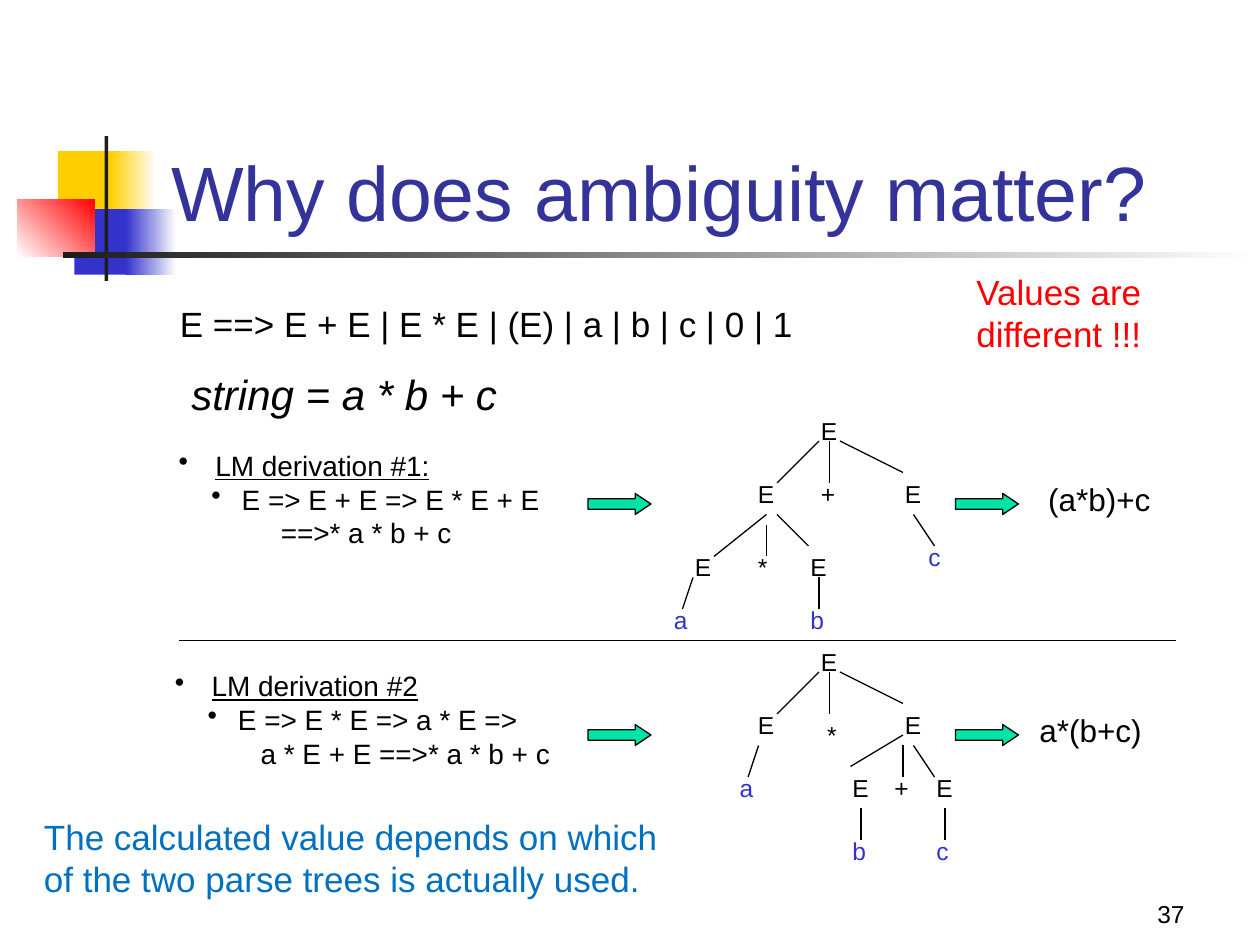
from pptx import Presentation
from pptx.util import Inches, Pt
from pptx.dml.color import RGBColor
from pptx.enum.shapes import MSO_CONNECTOR, MSO_SHAPE
from pptx.enum.text import MSO_ANCHOR, PP_ALIGN
from pptx.oxml.ns import qn
from lxml.etree import SubElement

BLACK = RGBColor(0, 0, 0)
WHITE = RGBColor(255, 255, 255)
DARK = RGBColor(0x1C, 0x1C, 0x1C)
YELLOW = RGBColor(0xFF, 0xCF, 0x01)
BLUE = RGBColor(0x33, 0x33, 0xCC)
TITLE = RGBColor(0x33, 0x33, 0x99)
RED = RGBColor(0xFF, 0, 0)
SKY = RGBColor(0, 0x70, 0xC0)
GREEN = RGBColor(0, 0xE4, 0xA8)
UNIT = 1 / 12  # the trees sit on a grid of twelfths of an inch

# Decoration: left, top, width, height, colours (two make a gradient), angle
DECOR = [
    (0.46, 1.2, 0.48, 0.52, [YELLOW], 0),
    (0.88, 1.2, 0.36, 0.52, [YELLOW, WHITE], 0),
    (0.59, 1.66, 0.46, 0.52, [BLUE], 0),
    (1, 1.66, 0.4, 0.52, [BLUE, WHITE], 0),
    (0.14, 1.58, 0.61, 0.46, [WHITE, RED], 45),
    (0.83, 1.08, 0.03, 1.15, [DARK], 0),
    (0.5, 2, 9.5, 0.05, [DARK, WHITE], 0),
]

# Single-style texts: left, top, width, height, size, colour, lines
TEXTS = [
    (1.33, 2.35, 5.17, 0.44, 20, BLACK, "E ==> E + E | E * E | (E) | a | b | c | 0 | 1"),
    (7.65, 2.1, 1.61, 0.77, 20, RED, "Values are\vdifferent !!!"),
    (0.25, 6.42, 5.19, 0.77, 20, SKY,
     "The calculated value depends on which\vof the two parse trees is actually used."),
]

# Nodes: symbol, column, row.  Branches: column and row of both ends.
SHARED_NODES = [("E", 77, 0), ("E", 71, 6), ("E", 85, 6)]
SHARED_BRANCHES = [(78, 3, 74, 7), (79, 3, 79, 7), (80, 3, 86, 6), (87, 10, 89, 13)]
DERIVATIONS = [
    {
        "row": 39, "list": (1.32, 3.51, 3.25, 0.91), "head": "LM derivation #1:",
        "steps": ("E => E + E => E * E + E", "==>* a * b + c"), "hang": 0.81,
        "value": "(a*b)+c", "value_left": 8.22,
        "nodes": [("+", 77, 6), ("E", 65, 13), ("*", 71, 13), ("E", 76, 13),
                  ("a", 63, 18), ("b", 76, 18), ("c", 87.25, 12)],
        "branches": [(73, 10, 68, 14), (74, 10, 77, 13), (73, 11, 73, 14),
                     (66, 16, 65, 19), (78, 16, 78, 19)],
    },
    {
        "row": 61, "list": (1.29, 5.26, 3.38, 0.9), "head": "LM derivation #2",
        "steps": ("E => E * E => a * E =>", "a * E + E ==>* a * b + c"), "hang": 0.68,
        "value": "a*(b+c)", "value_left": 8.15,
        "nodes": [("*", 77.6, 7), ("E", 88, 12), ("+", 84, 12), ("E", 80, 12),
                  ("a", 69.25, 12), ("b", 80, 18), ("c", 88, 18)],
        "branches": [(86, 9, 81, 12), (86, 10, 86, 13), (90, 16, 90, 19),
                     (82, 16, 82, 19), (72.25, 10, 71.25, 13)],
    },
]
NODE_WIDTH = {"E": 0.33, "*": 0.28, "c": 0.3}

prs = Presentation()
prs.slide_width, prs.slide_height = Inches(10), Inches(7.5)
s = prs.slides.add_slide(prs.slide_layouts[6])


def add_box(x, y, w, h, wrap=False, anchor=MSO_ANCHOR.TOP):
    tf = s.shapes.add_textbox(Inches(x), Inches(y), Inches(w), Inches(h)).text_frame
    tf.word_wrap = wrap
    tf.vertical_anchor = anchor
    return tf


def add_run(p, text, size, color=BLACK, underline=None, italic=None):
    for i, line in enumerate(text.split("\v")):
        if i:
            p.add_line_break()
        r = p.add_run()
        r.text = line
        f = r.font
        f.name, f.size, f.underline, f.italic = "Arial", Pt(size), underline, italic
        f.color.rgb = color


def add_block(kind, x, y, w, h):
    sp = s.shapes.add_shape(kind, Inches(x), Inches(y), Inches(w), Inches(h))
    sp.shadow.inherit = False
    return sp


def add_line(x1, y1, x2, y2):
    line = s.shapes.add_connector(MSO_CONNECTOR.STRAIGHT, *map(Inches, (x1, y1, x2, y2)))
    line.line.color.rgb = BLACK
    line.line.width = Pt(0.75)
    SubElement(line._element.spPr, qn("a:effectLst"))


def set_indent(p, margin, first=0, bullet=None):
    pPr = p._p.get_or_add_pPr()
    pPr.set("marL", str(Inches(margin)))
    pPr.set("indent", str(Inches(first)))
    if bullet:
        SubElement(pPr, qn("a:buChar")).set("char", bullet)


# Corner blocks and rules
for x, y, w, h, colors, angle in DECOR:
    sp = add_block(MSO_SHAPE.RECTANGLE, x, y, w, h)
    sp.line.fill.background()
    if len(colors) == 1:
        sp.fill.solid()
        sp.fill.fore_color.rgb = colors[0]
    else:
        sp.fill.gradient()
        sp.fill.gradient_angle = angle
        for stop, color, position in zip(sp.fill.gradient_stops, colors, (0, 1)):
            stop.color.rgb = color
            stop.position = position

# Title, slide number and string
tf = add_box(1.26, 0.68, 8.52, 1.25, True, MSO_ANCHOR.BOTTOM)
add_run(tf.paragraphs[0], "Why does ambiguity matter?", 44, TITLE)
tf = add_box(7.42, 6.92, 2.08, 0.5, True, MSO_ANCHOR.BOTTOM)
tf.paragraphs[0].alignment = PP_ALIGN.RIGHT
add_run(tf.paragraphs[0], "37", 14)
p = add_box(1.42, 2.92, 2.71, 0.46, True).paragraphs[0]
p.line_spacing = 0.9
add_run(p, "string = a * b + c", 24, italic=True)

for x, y, w, h, size, color, text in TEXTS:
    add_run(add_box(x, y, w, h).paragraphs[0], text, size, color)

for d in DERIVATIONS:
    # Bulleted derivation
    tf = add_box(*d["list"], wrap=True)
    p = tf.paragraphs[0]
    set_indent(p, 0.29, -0.29, "•")
    add_run(p, d["head"], 16, underline=True)
    p = tf.add_paragraph()
    set_indent(p, 0.5, -0.24, "•")
    add_run(p, d["steps"][0], 16)
    p = tf.add_paragraph()
    set_indent(p, d["hang"])
    add_run(p, d["steps"][1], 16)

    # Parse tree
    for symbol, col, row in SHARED_NODES + d["nodes"]:
        tf = add_box(col * UNIT, (d["row"] + row) * UNIT, NODE_WIDTH.get(symbol, 0.31), 0.33)
        add_run(tf.paragraphs[0], symbol, 14, BLUE if symbol in "abc" else BLACK)
    for x1, y1, x2, y2 in SHARED_BRANCHES + d["branches"]:
        add_line(x1 * UNIT, (d["row"] + y1) * UNIT, x2 * UNIT, (d["row"] + y2) * UNIT)

    # Arrows into and out of the tree, then the value
    for col in (56, 91):
        sp = add_block(MSO_SHAPE.RIGHT_ARROW, col * UNIT, (d["row"] + 8) * UNIT, 6 * UNIT, 2 * UNIT)
        sp.adjustments[0], sp.adjustments[1] = 0.5, 0.75
        sp.fill.solid()
        sp.fill.fore_color.rgb = GREEN
        sp.line.color.rgb = BLACK
        sp.line.width = Pt(0.75)
    tf = add_box(d["value_left"], (d["row"] + 6.1) * UNIT, 1.02, 0.4)
    add_run(tf.paragraphs[0], d["value"], 18)

# Divider between the derivations
add_line(1.42, 61 * UNIT, 9.33, 61 * UNIT)

prs.save("out.pptx")
